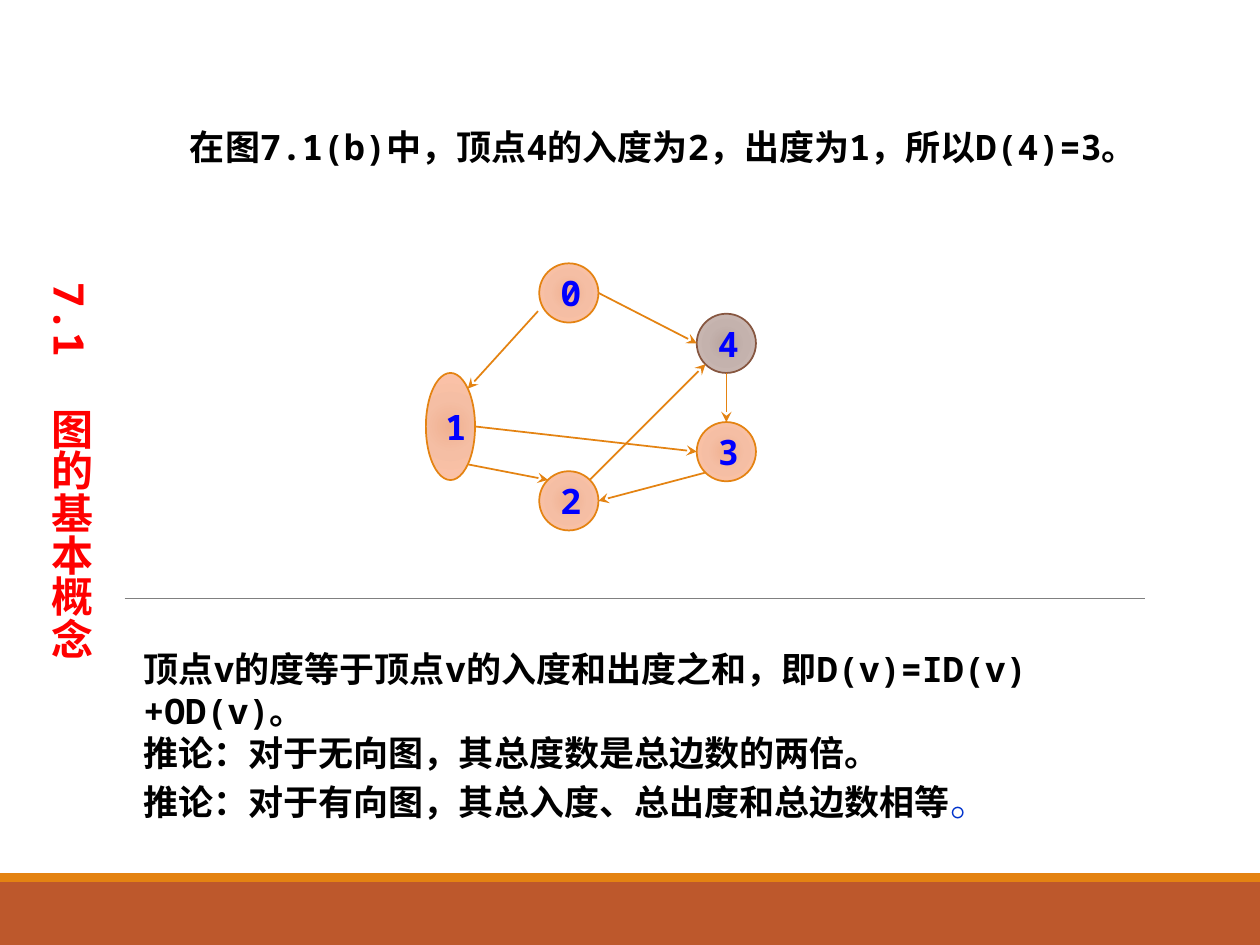
import math

from lxml import etree
from pptx import Presentation, util as u
from pptx.dml.color import RGBColor
from pptx.enum import shapes, text
from pptx.oxml import parse_xml
from pptx.oxml.ns import nsdecls, qn

BLACK = RGBColor(0x00, 0x00, 0x00)
RED = RGBColor(0xFF, 0x00, 0x00)
BLUE = RGBColor(0x00, 0x00, 0xFF)
DEEP_BLUE = RGBColor(0x00, 0x33, 0xCC)
GRAY = RGBColor(0x80, 0x80, 0x80)
ORANGE = RGBColor(0xE4, 0x83, 0x12)
RUST = RGBColor(0xBD, 0x58, 0x2C)
BROWN = RGBColor(0x86, 0x56, 0x40)
PEACH = (RGBColor(0xF0, 0xB1, 0x91), RGBColor(0xF5, 0xBE, 0xA4), RGBColor(0xFD, 0xC3, 0xA8))
TAUPE = (RGBColor(0xB9, 0xA4, 0x9E), RGBColor(0xC4, 0xB2, 0xAD), RGBColor(0xCC, 0xBA, 0xB5))

TOP_LEFT, LEFT, BOTTOM_LEFT, BOTTOM, BOTTOM_RIGHT, RIGHT, TOP_RIGHT, TOP = (
    225, 180, 135, 90, 45, 0, 315, 270)

VERTICES = {
    "0": (4.28, 2.09, 0.47, 0.47, PEACH, ORANGE),
    "1": (3.38, 2.96, 0.39, 0.85, PEACH, ORANGE),
    "2": (4.28, 3.74, 0.47, 0.47, PEACH, ORANGE),
    "4": (5.53, 2.49, 0.47, 0.47, TAUPE, BROWN),
    "3": (5.53, 3.35, 0.47, 0.47, PEACH, ORANGE),
}
EDGES = [
    ("0", RIGHT, "4", LEFT),
    ("4", BOTTOM, "3", TOP),
    ("1", BOTTOM_RIGHT, "2", TOP_LEFT),
    ("1", RIGHT, "3", LEFT),
    ("3", BOTTOM_LEFT, "2", RIGHT),
    ("2", TOP_RIGHT, "4", BOTTOM_LEFT),
]
SUMMARY = [
    [("顶点v的度等于顶点v的入度和出度之和，即D(v)=ID(v)+OD(v)。", {})],
    [("推论：对于无向图，其总度数是总边数的两倍。", {})],
    [("推论：对于有向图，其总入度、总出度和总边数相等", {}),
     ("。", {"size": u.Pt(24), "name": "Times New Roman", "color": DEEP_BLUE})],
]


def rim_point(vertex, degrees):
    left, top, width, height = VERTICES[vertex][:4]
    angle = math.radians(degrees)
    return (left + width / 2 * (1 + math.cos(angle)),
            top + height / 2 * (1 + math.sin(angle)))


class SlideBuilder:
    base_format = {"name": "Noto Sans Mono", "size": u.Pt(20), "bold": True, "color": BLACK}

    def __init__(self, slide):
        self.slide = slide

    def add_run(self, paragraph, words, **changes):
        run = paragraph.add_run()
        run.text = words
        values = {**self.base_format, **changes}
        run.font.color.rgb = values.pop("color")
        for key, value in values.items():
            setattr(run.font, key, value)
        east_asian = etree.SubElement(run.font._element, qn("a:ea"))
        east_asian.set("typeface", values["name"])

    def title(self, words, box):
        shape = self.slide.shapes.title
        shape.left, shape.top, shape.width, shape.height = map(u.Inches, box)
        frame = shape.text_frame
        frame._txBody.bodyPr.set("vert", "eaVert")
        settings = {"word_wrap": True, "vertical_anchor": text.MSO_ANCHOR.TOP,
                    "auto_size": text.MSO_AUTO_SIZE.SHAPE_TO_FIT_TEXT}
        for key, value in settings.items():
            setattr(frame, key, value)
        paragraph = frame.paragraphs[0]
        paragraph.alignment = text.PP_ALIGN.LEFT
        self.add_run(paragraph, words, size=u.Pt(24), color=RED)

    def text_box(self, paragraphs, box, line_spacing=None):
        frame = self.slide.shapes.add_textbox(*map(u.Inches, box)).text_frame
        frame.word_wrap = True
        frame.auto_size = text.MSO_AUTO_SIZE.SHAPE_TO_FIT_TEXT
        for index, runs in enumerate(paragraphs):
            paragraph = frame.add_paragraph() if index else frame.paragraphs[0]
            paragraph.line_spacing = line_spacing
            for words, changes in runs:
                self.add_run(paragraph, words, **changes)

    def band(self, box, color):
        shape = self.slide.shapes.add_shape(shapes.MSO_SHAPE.RECTANGLE, *map(u.Inches, box))
        shape.shadow.inherit = False
        shape.fill.solid()
        shape.fill.fore_color.rgb = color
        shape.line.fill.background()

    def vertex(self, label, box, colors, outline):
        shape = self.slide.shapes.add_shape(shapes.MSO_SHAPE.OVAL, *map(u.Inches, box))
        shape.shadow.inherit = False
        shape.line.color.rgb = outline
        shape.line.width = u.Pt(1)
        stops = "".join(
            f'<a:gs pos="{position}"><a:srgbClr val="{color}"/></a:gs>'
            for position, color in zip((0, 45000, 100000), colors))
        gradient = parse_xml(
            f'<a:gradFill {nsdecls("a")} rotWithShape="1"><a:gsLst>{stops}</a:gsLst>'
            '<a:path path="circle"><a:fillToRect l="100000" t="100000" r="100000" b="100000"/>'
            '</a:path></a:gradFill>')
        shape._element.spPr.find(qn("a:prstGeom")).addnext(gradient)
        frame = shape.text_frame
        frame.vertical_anchor = text.MSO_ANCHOR.MIDDLE
        paragraph = frame.paragraphs[0]
        paragraph.alignment = text.PP_ALIGN.CENTER
        self.add_run(paragraph, label, color=BLUE)

    def line(self, start, end, color, width, arrow=False):
        connector = self.slide.shapes.add_connector(
            shapes.MSO_CONNECTOR.STRAIGHT, *map(u.Inches, (*start, *end)))
        connector.line.color.rgb = color
        connector.line.width = u.Pt(width)
        if arrow:
            etree.SubElement(connector.line._get_or_add_ln(), qn("a:tailEnd")).set("type", "stealth")
        etree.SubElement(connector._element.spPr, qn("a:effectLst"))


def main():
    presentation = Presentation()
    presentation.slide_width = u.Inches(10)
    presentation.slide_height = u.Inches(7.5)
    builder = SlideBuilder(presentation.slides.add_slide(presentation.slide_layouts[5]))

    builder.band((0, 7, 10, 0.5), RUST)
    builder.band((0, 6.93, 10, 0.07), ORANGE)
    builder.line((0.99, 4.75), (9.09, 4.75), GRAY, 0.5)
    builder.text_box([[("在图7.1(b)中，顶点4的入度为2，出度为1，所以D(4)=3。", {})]],
                     (1.41, 0.78, 7.97, 0.55), line_spacing=1.5)

    for label, (*box, colors, outline) in VERTICES.items():
        builder.vertex(label, box, colors, outline)
    for source, source_angle, target, target_angle in EDGES:
        builder.line(rim_point(source, source_angle), rim_point(target, target_angle),
                     ORANGE, 1, arrow=True)
    builder.line((4.27, 2.47), rim_point("1", TOP_RIGHT), ORANGE, 1, arrow=True)

    builder.title("7.1  图的基本概念", (0.25, 2.19, 0.61, 3.44))
    builder.text_box(SUMMARY, (1.04, 5.09, 8.21, 1.18))
    presentation.save("out.pptx")


if __name__ == "__main__":
    main()
